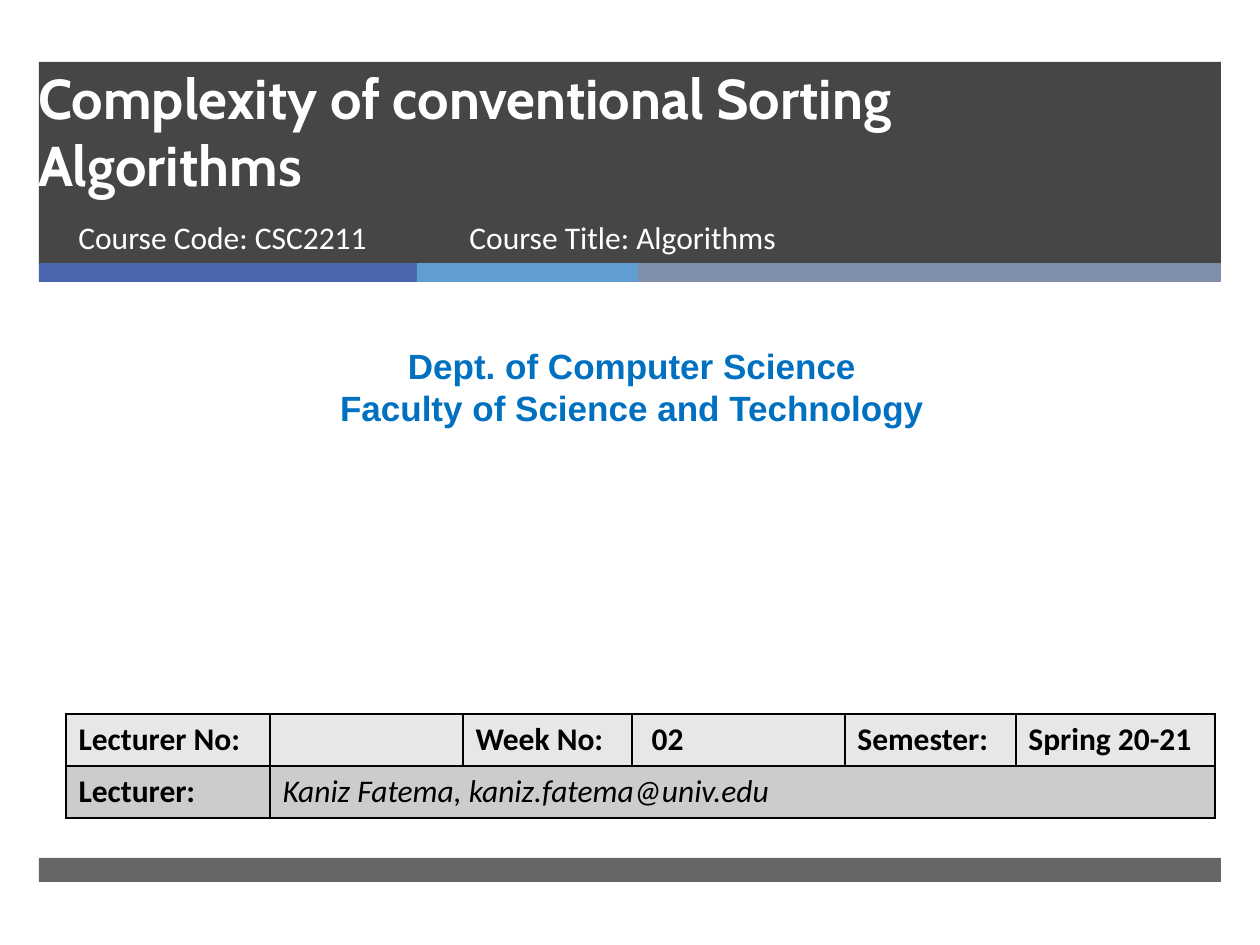
import pptx
import pptx.util
import pptx.dml.color
import pptx.enum.shapes
import pptx.enum.text
import pptx.oxml.ns
import lxml.etree

RGB = pptx.dml.color.RGBColor
ALIGN = pptx.enum.text.PP_ALIGN
ANCHOR = pptx.enum.text.MSO_ANCHOR
qn = pptx.oxml.ns.qn

DARK = RGB(0x26, 0x26, 0x26)
WHITE = RGB(0xFF, 0xFF, 0xFF)
BLACK = RGB(0, 0, 0)
BLUE = RGB(0x4A, 0x66, 0xAC)
SKY = RGB(0x62, 0x9D, 0xD1)
SLATE = RGB(0x7F, 0x8F, 0xA9)
DEPT = RGB(0x00, 0x70, 0xC0)
LIGHT = RGB(0xE7, 0xE7, 0xE7)
GREY = RGB(0xCC, 0xCC, 0xCC)


def px(n):
    return pptx.util.Emu(round(n * 914400 / 126))


class Deck:
    title = dict(name="Cabin", size=32, bold=True, color=WHITE)
    course = dict(name="Calibri", size=18, color=WHITE)
    dept = dict(name="Arial", size=20, bold=True, color=DEPT)
    label = dict(name="Calibri", size=18, bold=True, color=BLACK)
    person = dict(label, bold=False, italic=True)

    def __init__(self, wide, high):
        self.file = pptx.Presentation()
        self.file.slide_width, self.file.slide_height = px(wide), px(high)
        self.slide = self.file.slides.add_slide(self.file.slide_layouts[6])

    def bar(self, x, y, w, h, color, alpha=100):
        shape = self.slide.shapes.add_shape(
            pptx.enum.shapes.MSO_SHAPE.RECTANGLE, *map(px, (x, y, w, h)))
        shape.shadow.inherit = False
        shape.line.fill.background()
        shape.fill.solid()
        shape.fill.fore_color.rgb = color
        if alpha < 100:
            tone = shape._element.spPr.find(".//" + qn("a:srgbClr"))
            lxml.etree.SubElement(tone, qn("a:alpha"), val=str(alpha * 1000))

    def put(self, frame, lines, style, align=ALIGN.LEFT):
        for i, line in enumerate(lines):
            para = frame.add_paragraph() if i else frame.paragraphs[0]
            para.alignment = align
            run = para.add_run()
            run.text = line
            for key, value in style.items():
                if key == "color":
                    run.font.color.rgb = value
                else:
                    value = pptx.util.Pt(value) if key == "size" else value
                    setattr(run.font, key, value)

    def text(self, x, y, w, h, lines, style, align=ALIGN.LEFT, anchor=ANCHOR.TOP):
        box = self.slide.shapes.add_textbox(*map(px, (x, y, w, h)))
        box.text_frame.word_wrap = True
        box.text_frame.vertical_anchor = anchor
        self.put(box.text_frame, lines, style, align)

    def edge(self, cell):
        props = cell._tc.get_or_add_tcPr()
        for side in "LRTB":
            line = lxml.etree.SubElement(props, qn("a:ln" + side), w="12700")
            fill = lxml.etree.SubElement(line, qn("a:solidFill"))
            lxml.etree.SubElement(fill, qn("a:srgbClr"), val=str(BLACK))

    def table(self, x, y, cols, high, rows, fills):
        grid = self.slide.shapes.add_table(
            len(rows), len(cols), px(x), px(y), px(sum(cols)),
            px(high * len(rows))).table
        for col, wide in zip(grid.columns, cols):
            col.width = px(wide)
        for r, (row, fill) in enumerate(zip(rows, fills)):
            grid.rows[r].height = px(high)
            for c in range(len(cols)):
                cell = grid.cell(r, c)
                self.edge(cell)
                cell.fill.solid()
                cell.fill.fore_color.rgb = fill
                if c < len(row) and row[c]:
                    words, style = row[c]
                    self.put(cell.text_frame, [words], style)
        return grid


deck = Deck(1260, 945)

# Header band, colour strip and footer
LEFT, WIDE = 39, 1182
deck.bar(LEFT, 62, WIDE, 202, DARK, 85)
x = LEFT
for wide, color in ((378, BLUE), (221, SKY), (583, SLATE)):
    deck.bar(x, 263, wide, 19, color)
    x += wide
deck.bar(LEFT, 858, WIDE, 24, DARK, 70)

# Title and course
deck.text(26, 54, 1076, 150, ["Complexity of conventional Sorting Algorithms"],
          deck.title, anchor=ANCHOR.BOTTOM)
deck.text(66, 212, 384, 67, ["Course Code: CSC2211"], deck.course)
deck.text(457, 212, 573, 67, ["Course Title: Algorithms"], deck.course)

# Department
deck.text(10, 338, 1244, 97,
          ["Dept. of Computer Science", "Faculty of Science and Technology"],
          deck.dept, ALIGN.CENTER)

# Lecture details
heads = ["Lecturer No:", "", "Week No:", " 02", "Semester:", "Spring 20-21"]
rows = [[(head, deck.label) if head else None for head in heads],
        [("Lecturer:", deck.label),
         ("Kaniz Fatema, kaniz.fatema@univ.edu", deck.person)]]
grid = deck.table(66, 714, [204, 193, 169, 213, 171, 199], 52, rows,
                  [LIGHT, GREY])
grid.cell(1, 1).merge(grid.cell(1, 5))

deck.file.save("out.pptx")
